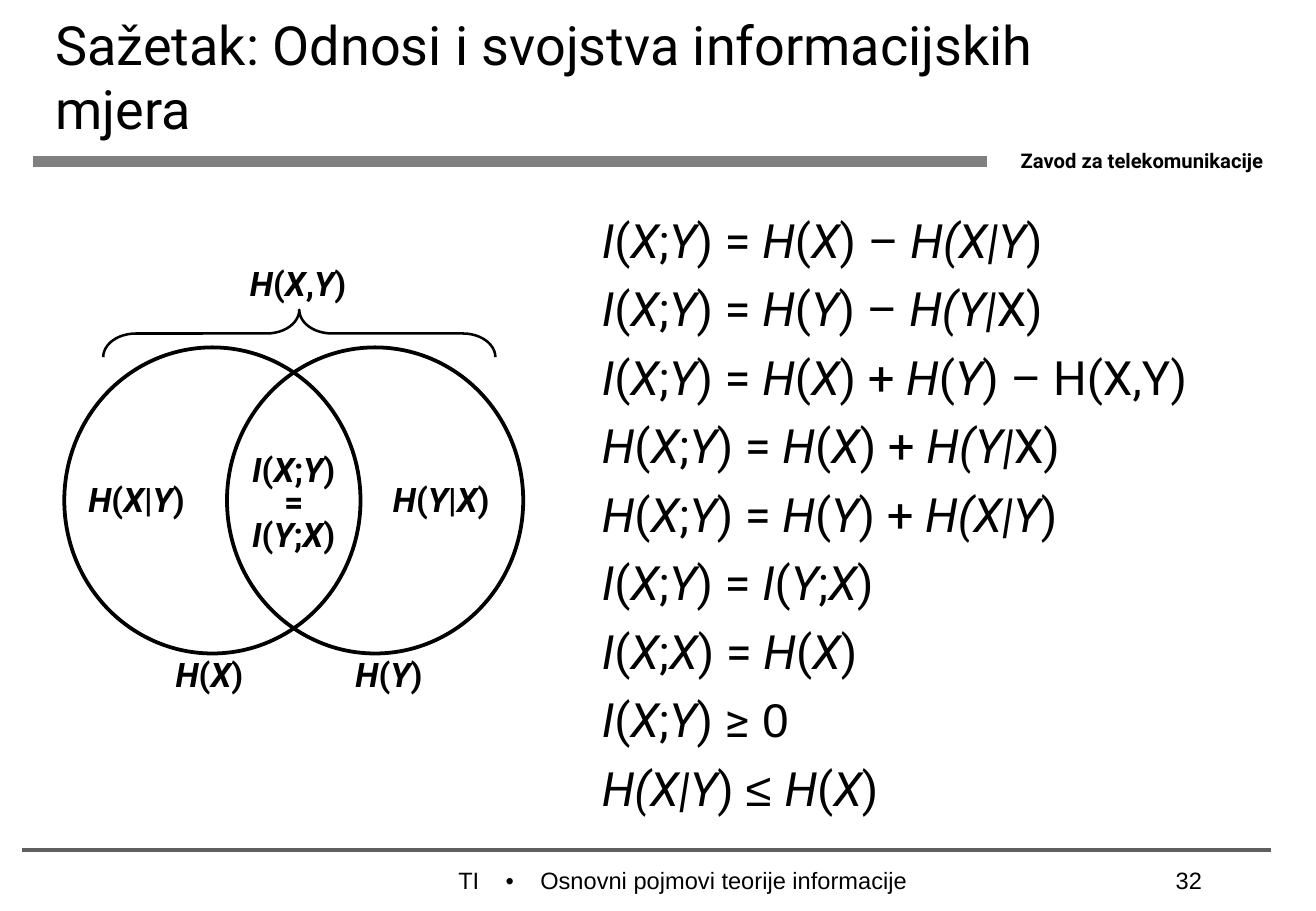
from pptx import Presentation, util as u
from pptx.dml.color import RGBColor
from pptx.enum import shapes, text
from pptx.oxml.ns import qn
from lxml import etree

WIDTH, HEIGHT = u.Inches(10.84), u.Inches(7.5)
BLACK = RGBColor(0, 0, 0)
GREY = RGBColor(0x80, 0x80, 0x80)
DARK_GREY = RGBColor(0x5F, 0x5F, 0x5F)
ROBOTO, ARIAL = "Roboto", "Arial"

# Asterisks enclose the italic parts of a formula
FORMULAS = [
    "*I*(*X*;*Y*) = *H*(*X*) – *H(X|Y*)",
    "*I*(*X*;*Y*) = *H*(*Y*) – *H(Y|*X)",
    "*I*(*X*;*Y*) = *H*(*X*) + *H*(*Y*) – H(X,Y)",
    "*H*(*X*;*Y*) = *H*(*X*) + *H(Y|*X)",
    "*H*(*X*;*Y*) = *H*(*Y*) + *H(X|Y*)",
    "*I*(*X*;*Y*) = *I*(*Y*;*X*)",
    "*I*(*X*;*X*) = *H*(*X*)",
    "*I*(*X*;*Y*) ≥ 0",
    "*H(X|Y*) ≤ *H*(*X*)",
]
# Diagram labels: left, top, width, height in percent, then lines
LABELS = [
    (12.36, 72, 7.1, 4.93, ["*H*(*X*)"]),
    (26.01, 72, 7.1, 4.93, ["*H*(*Y*)"]),
    (28.78, 52.8, 9.5, 4.93, ["*H*(*Y*|*X*)"]),
    (5.63, 52.8, 9.5, 4.93, ["*H*(*X*|*Y*)"]),
    (18.08, 49.47, 8.49, 12, ["*I*(*X*;*Y*)", "=", "*I*(*Y*;*X*)"]),
    (17.9, 29.07, 9.5, 4.93, ["*H*(*X*,*Y*)"]),
]


def across(percent):
    return round(WIDTH * percent / 100)


def down(percent):
    return round(HEIGHT * percent / 100)


def area(left, top, width, height):
    return across(left), down(top), across(width), down(height)


def add_run(paragraph, content, size, font=ROBOTO, bold=False, italic=False):
    run = paragraph.add_run()
    run.text = content
    run.font.size, run.font.name = u.Pt(size), font
    run.font.bold, run.font.italic = bold, italic
    run.font.color.rgb = BLACK
    return run


def add_formula(paragraph, formula, size, bold=False):
    for index, part in enumerate(formula.split("*")):
        # Comparison signs and the zero are set in Arial
        for sign in ("≤ ", " 0"):
            part = part.replace(sign, f"*{sign}*")
        for piece in filter(None, part.split("*")):
            font = ARIAL if piece in ("≤ ", " 0") else ROBOTO
            add_run(paragraph, piece, size, font, bold, index % 2 == 1)


def add_box(parent, place, wrap=True, anchor=text.MSO_ANCHOR.TOP):
    frame = parent.shapes.add_textbox(*area(*place)).text_frame
    frame.word_wrap, frame.vertical_anchor = wrap, anchor
    return frame


def add_text(slide, place, content, size, font=ROBOTO, bold=False,
             align=text.PP_ALIGN.LEFT, anchor=text.MSO_ANCHOR.TOP):
    paragraph = add_box(slide, place, anchor=anchor).paragraphs[0]
    paragraph.alignment = align
    add_run(paragraph, content, size, font, bold)


def add_rule(slide, start, end, top, color, weight):
    rule = slide.shapes.add_connector(
        shapes.MSO_CONNECTOR.STRAIGHT, across(start), down(top), across(end), down(top))
    rule.line.color.rgb, rule.line.width = color, u.Pt(weight)
    etree.SubElement(rule._element.spPr, qn("a:effectLst"))


def add_outline(parent, kind, place, weight):
    shape = parent.shapes.add_shape(kind, *area(*place))
    shape.shadow.inherit = False
    shape.fill.background()
    shape.line.color.rgb, shape.line.width = BLACK, u.Pt(weight)
    return shape


def add_venn_diagram(slide):
    group = slide.shapes.add_group_shape()
    for left in (4.89, 17.25):
        add_outline(group, shapes.MSO_SHAPE.OVAL, (left, 38.13, 22.51, 33.6), 2.25)
    brace = add_outline(group, shapes.MSO_SHAPE.LEFT_BRACE, (20.94, 15.07, 3.6, 43.07), 1.5)
    brace.rotation = 90
    brace.adjustments[0] = 0.69
    for *place, lines in LABELS:
        frame = add_box(group, place, wrap=False)
        for index, line in enumerate(lines):
            paragraph = frame.add_paragraph() if index else frame.paragraphs[0]
            paragraph.alignment, paragraph.line_spacing = text.PP_ALIGN.CENTER, 0.8
            add_formula(paragraph, line, 20, bold=True)


def add_formula_list(slide):
    frame = add_box(slide, (44.83, 22.5, 49.45, 67.73))
    for index, formula in enumerate(FORMULAS):
        paragraph = frame.add_paragraph() if index else frame.paragraphs[0]
        if index:
            paragraph.space_before = u.Pt(7)
        add_formula(paragraph, formula, 28)


def add_footer(slide):
    paragraph = add_box(slide, (23.06, 94.4, 57.66, 3.33)).paragraphs[0]
    paragraph.alignment = text.PP_ALIGN.CENTER
    for part in ("TI", " ", "•", " ", "Osnovni pojmovi teorije informacije"):
        run = add_run(paragraph, part, 14, ARIAL)
        if part == " ":  # widen the gaps around the bullet
            run.font._element.set("spc", "1170")
    add_text(slide, (83.86, 94.4, 8.39, 3.33), "32", 14, ARIAL, align=text.PP_ALIGN.RIGHT)


def main():
    presentation = Presentation()
    presentation.slide_width, presentation.slide_height = WIDTH, HEIGHT
    slide = presentation.slides.add_slide(presentation.slide_layouts[6])

    # Header
    add_rule(slide, 75, 2.49, 17.73, GREY, 6)
    add_text(slide, (76.66, 15.6, 23.34, 4), "Zavod za telekomunikacije", 12, bold=True)
    add_text(slide, (3.32, 0, 84.96, 16.67), "Sažetak: Odnosi i svojstva informacijskih mjera",
             32, anchor=text.MSO_ANCHOR.MIDDLE)

    # Content
    add_venn_diagram(slide)
    add_formula_list(slide)

    # Footer
    add_rule(slide, 96.59, 1.66, 93.33, DARK_GREY, 2.25)
    add_footer(slide)
    presentation.save("out.pptx")


if __name__ == "__main__":
    main()
